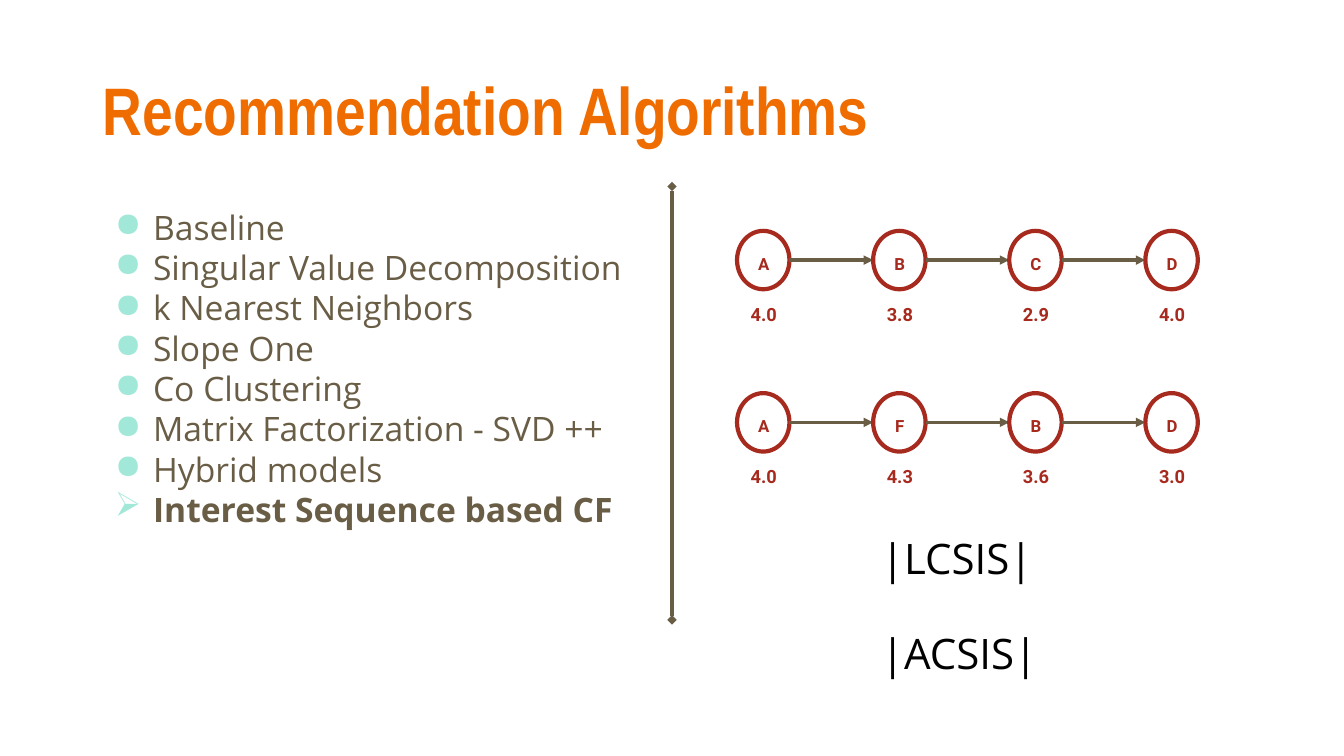
import dataclasses

import lxml.etree
import pptx
import pptx.dml.color
import pptx.enum.shapes
import pptx.enum.text
import pptx.oxml.ns
import pptx.util

ALIGN = pptx.enum.text.PP_ALIGN
ANCHOR = pptx.enum.text.MSO_ANCHOR
inches = pptx.util.Inches


@dataclasses.dataclass(frozen=True)
class Theme:
    """Colours, fonts and type sizes of the slide."""
    orange: str = "EF6C00"
    brown: str = "695D46"
    mint: str = "A1E8D9"
    red: str = "A72A1E"
    black: str = "000000"
    heading: str = "Arial Narrow"
    body: str = "Open Sans"
    label: str = "Roboto"
    title_size: int = 48
    list_size: int = 24
    measure_size: int = 30
    item_size: int = 12
    rating_size: int = 13


THEME = Theme()
WIDTH, HEIGHT = 13.33, 7.5
MARGIN = 0.92
NODE_WIDTH, NODE_HEIGHT = 0.52, 0.58
FIRST_COLUMN, COLUMN_STEP = 7.57, 1.35
FIRST_ROW, ROW_STEP = 2.58, 1.61

ALGORITHMS = [
    "Baseline", "Singular Value Decomposition", "k Nearest Neighbors",
    "Slope One", "Co Clustering", "Matrix Factorization - SVD ++",
    "Hybrid models", "Interest Sequence based CF",
]
SEQUENCES = [
    [("A", "4.0"), ("B", "3.8"), ("C", "2.9"), ("D", "4.0")],
    [("A", "4.0"), ("F", "4.3"), ("B", "3.6"), ("D", "3.0")],
]


def rgb(colour):
    """Return a colour object for a hex string."""
    return pptx.dml.color.RGBColor.from_string(colour)


def style(paragraph, font, size, colour, bold=False):
    """Format every run of a paragraph."""
    for run in paragraph.runs:
        run.font.name = font
        run.font.size = pptx.util.Pt(size)
        run.font.bold = bold
        run.font.color.rgb = rgb(colour)


def add_title(slide, text):
    """Place and format the title placeholder."""
    title = slide.shapes.title
    title.left, title.top = inches(MARGIN), inches(0.4)
    title.width, title.height = inches(11.5), inches(1.45)
    frame = title.text_frame
    frame.text = text
    frame.auto_size = pptx.enum.text.MSO_AUTO_SIZE.NONE
    frame.vertical_anchor = ANCHOR.MIDDLE
    heading = frame.paragraphs[0]
    heading.alignment = ALIGN.LEFT
    heading.line_spacing = 0.9
    style(heading, THEME.heading, THEME.title_size, THEME.orange, True)


def add_text(shapes, text, box, inset, anchor=ANCHOR.TOP):
    """Add a wrapping text box and return its frame."""
    frame = shapes.add_textbox(*map(inches, box)).text_frame
    frame.text = text
    frame.word_wrap = True
    frame.vertical_anchor = anchor
    frame.margin_left = frame.margin_right = inches(inset)
    frame.margin_top = frame.margin_bottom = inches(inset)
    return frame


def add_bullet(paragraph, mark):
    """Give a paragraph a hanging coloured bullet."""
    properties = paragraph._p.get_or_add_pPr()
    properties.set("marL", str(inches(0.5)))
    properties.set("indent", str(inches(-0.38)))
    qn = pptx.oxml.ns.qn
    colour = lxml.etree.SubElement(properties, qn("a:buClr"))
    lxml.etree.SubElement(colour, qn("a:srgbClr"), val=THEME.mint)
    lxml.etree.SubElement(properties, qn("a:buChar"), char=mark)


def add_algorithms(slide):
    """List the algorithms, with the last one emphasised."""
    frame = add_text(slide.shapes, "\n".join(ALGORITHMS), (MARGIN, 2, 5.67, 4.76), 0.1)
    frame.margin_top = frame.margin_bottom = inches(0.05)
    frame.paragraphs[0].space_before = pptx.util.Pt(10)
    for paragraph in frame.paragraphs:
        chosen = paragraph.text == ALGORITHMS[-1]
        add_bullet(paragraph, "➢" if chosen else "●")
        style(paragraph, THEME.body, THEME.list_size, THEME.brown, chosen)


def add_line(shapes, start, end, **ends):
    """Draw a brown line with the given head and tail ends."""
    straight = pptx.enum.shapes.MSO_CONNECTOR.STRAIGHT
    connector = shapes.add_connector(straight, *map(inches, start + end))
    connector.line.color.rgb = rgb(THEME.brown)
    connector.line.width = pptx.util.Pt(2.25)
    qn = pptx.oxml.ns.qn
    outline = connector.line._get_or_add_ln()
    for name, kind in ends.items():
        lxml.etree.SubElement(outline, qn(f"a:{name}"), type=kind)
    lxml.etree.SubElement(connector._element.spPr, qn("a:effectLst"))


def add_label(shapes, text, box, size, anchor=ANCHOR.TOP):
    """Add a centred red label."""
    label = add_text(shapes, text, box, 0.13, anchor).paragraphs[0]
    label.alignment = ALIGN.CENTER
    label.line_spacing = 1.15
    style(label, THEME.label, size, THEME.red, True)


def add_node(shapes, x, y, item, rating):
    """Draw a circled item with its rating below."""
    box = (x - NODE_WIDTH / 2, y - NODE_HEIGHT / 2, NODE_WIDTH, NODE_HEIGHT)
    circle = shapes.add_shape(pptx.enum.shapes.MSO_SHAPE.OVAL, *map(inches, box))
    circle.shadow.inherit = False
    circle.fill.background()
    circle.line.color.rgb = rgb(THEME.red)
    circle.line.width = pptx.util.Pt(3)
    add_label(shapes, item, (x - 0.21, y - 0.21, 0.43, 0.41), THEME.item_size)
    add_label(shapes, rating, (x - 0.57, y + 0.44, 1.15, 0.33),
              THEME.rating_size, ANCHOR.BOTTOM)


def add_sequence(slide, row, sequence):
    """Draw one row of rated items joined by arrows."""
    shapes = slide.shapes.add_group_shape().shapes
    y = FIRST_ROW + row * ROW_STEP
    for column, (item, rating) in enumerate(sequence):
        x = FIRST_COLUMN + column * COLUMN_STEP
        add_node(shapes, x, y, item, rating)
        if column < len(sequence) - 1:
            start = x + NODE_WIDTH / 2
            end = x + COLUMN_STEP - NODE_WIDTH / 2
            add_line(shapes, (start, y), (end, y), tailEnd="triangle")


def add_measures(slide):
    """Name the two sequence measures."""
    frame = add_text(slide.shapes, "|LCSIS|\n|ACSIS|", (8.64, 5.18, 1.89, 1.72), 0.1)
    for paragraph in frame.paragraphs:
        style(paragraph, THEME.body, THEME.measure_size, THEME.black)
    frame.paragraphs[1].space_before = pptx.util.Pt(32)


def main():
    """Build and save the slide."""
    deck = pptx.Presentation()
    deck.slide_width, deck.slide_height = inches(WIDTH), inches(HEIGHT)
    slide = deck.slides.add_slide(deck.slide_layouts[5])
    add_title(slide, "Recommendation Algorithms")
    add_algorithms(slide)
    add_line(slide.shapes, (WIDTH / 2, 1.85), (WIDTH / 2, 6.15),
             headEnd="diamond", tailEnd="diamond")
    for row, sequence in enumerate(SEQUENCES):
        add_sequence(slide, row, sequence)
    add_measures(slide)
    deck.save("out.pptx")


if __name__ == "__main__":
    main()
